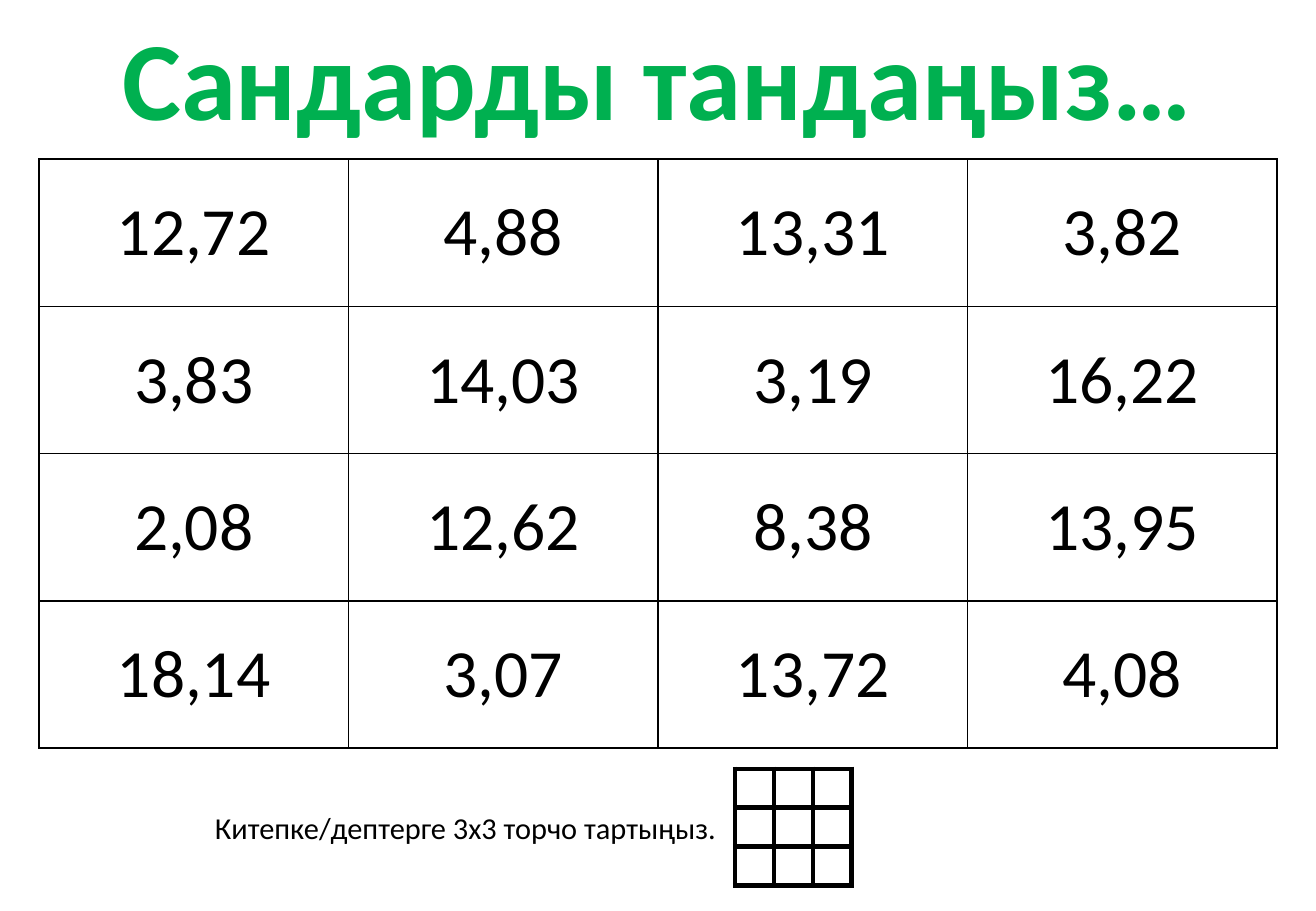
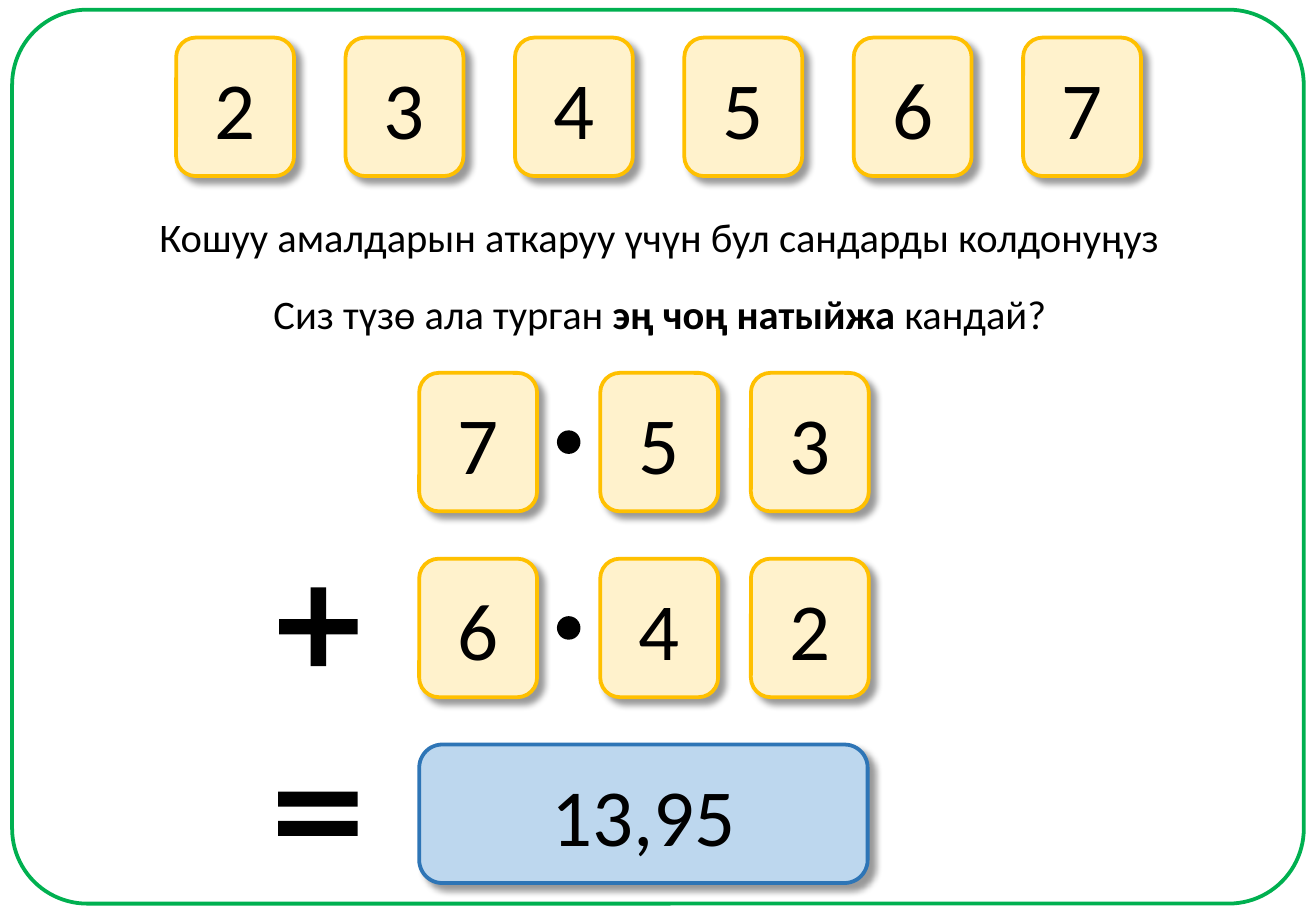
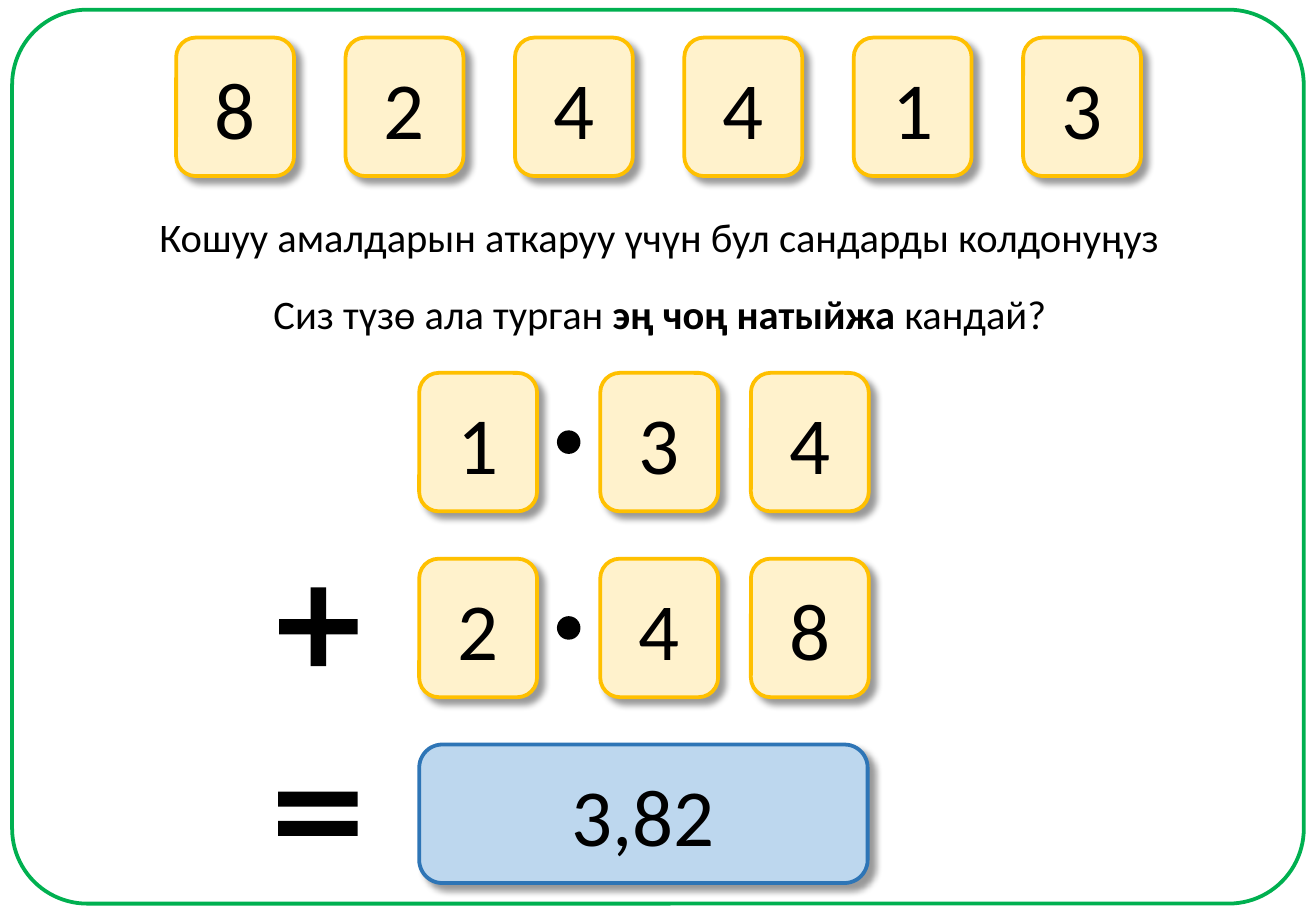
from lxml import etree
from pptx import Presentation
from pptx.dml.color import RGBColor
from pptx.enum.shapes import MSO_SHAPE as Preset
from pptx.enum.text import MSO_ANCHOR as Anchor, PP_ALIGN as Align
from pptx.oxml import parse_xml
from pptx.oxml.ns import nsdecls
from pptx.util import Emu, Pt

EMU_PER_PX = 9144  # 100 px to the inch
PAGE_W, PAGE_H = 1083, 750
FONT = "Calibri"
COLORS = {
    "black": "000000", "white": "FFFFFF", "green": "00B050",
    "card": "FFF2CC", "card_line": "FFC000",
    "answer": "BDD7EE", "answer_line": "2E75B6",
}
CARD_W, CARD_H = 97, 114

# Text formats
TITLE = {"size": Pt(66), "bold": True}
CELL = {"size": Pt(40)}
NOTE = {"size": Pt(18)}
PROMPT = {"size": Pt(24)}
STRONG = {"size": Pt(24), "bold": True}
DIGIT = {"size": Pt(48)}

NUMBERS = [
    ["12,72", "4,88", "13,31", "3,82"],
    ["3,83", "14,03", "3,19", "16,22"],
    ["2,08", "12,62", "8,38", "13,95"],
    ["18,14", "3,07", "13,72", "4,08"],
]
PROBLEMS = [
    {"digits": "234567", "addends": ["753", "642"], "answer": "13,95"},
    {"digits": "824413", "addends": ["134", "248"], "answer": "3,82"},
]


def px(*lengths):
    return [Emu(round(length * EMU_PER_PX)) for length in lengths]


def rgb(name):
    return RGBColor.from_string(COLORS[name])


def write(frame, spans, color="black", align=Align.CENTER):
    """Fill the first paragraph with (text, format) spans."""
    para = frame.paragraphs[0]
    para.alignment = align
    for text, style in spans:
        span = para.add_run()
        span.text = text
        span.font.name = FONT
        span.font.color.rgb = rgb(color)
        for key, value in style.items():
            setattr(span.font, key, value)


def add_line(page, box, spans, align=Align.CENTER):
    frame = page.shapes.add_textbox(*px(*box)).text_frame
    frame.word_wrap = False
    write(frame, spans, align=align)


def add_shadow(shape):
    shape._element.spPr.append(parse_xml(
        f'<a:effectLst {nsdecls("a")}>'
        f'<a:outerShdw blurRad="{Pt(4)}" dist="{Pt(5)}" dir="2700000" algn="tl" rotWithShape="0">'
        f'<a:srgbClr val="{COLORS["black"]}"><a:alpha val="40000"/></a:srgbClr>'
        '</a:outerShdw></a:effectLst>'))


def add_preset(shapes, preset, box, fill=None, line=None, weight=2.25, adjust=()):
    shape = shapes.add_shape(preset, *px(*box))
    shape.shadow.inherit = False
    for index, value in enumerate(adjust):
        shape.adjustments[index] = value
    if fill:
        shape.fill.solid()
        shape.fill.fore_color.rgb = rgb(fill)
    else:
        shape.fill.background()
    if line:
        shape.line.color.rgb = rgb(line)
        shape.line.width = Pt(weight)
    else:
        shape.line.fill.background()
    return shape


def add_card(shapes, box, text, fill="card", line="card_line"):
    card = add_preset(shapes, Preset.ROUNDED_RECTANGLE, box, fill, line)
    for effects in card._element.spPr.findall("{*}effectLst"):
        card._element.spPr.remove(effects)
    add_shadow(card)
    card.text_frame.vertical_anchor = Anchor.MIDDLE
    write(card.text_frame, [(text, DIGIT)])


def add_grid(page, box, rows, border):
    """Table of equal white cells with black borders all round."""
    table = page.shapes.add_table(len(rows), len(rows[0]), *px(*box)).table
    table.first_row = table.horz_banding = False
    for r, row in enumerate(rows):
        for c, text in enumerate(row):
            cell = table.cell(r, c)
            for side in ("left", "right", "top", "bottom"):
                setattr(cell, f"margin_{side}", 0)
            cell.vertical_anchor = Anchor.MIDDLE
            props = cell._tc.get_or_add_tcPr()
            for side in "LRTB":
                edge = etree.SubElement(props, props.tag.replace("tcPr", f"ln{side}"), w=str(Pt(border)))
                edge.append(parse_xml(
                    f'<a:solidFill {nsdecls("a")}><a:srgbClr val="{COLORS["black"]}"/></a:solidFill>'))
            cell.fill.solid()
            cell.fill.fore_color.rgb = rgb("white")
            if text:
                write(cell.text_frame, [(text, CELL)])


def add_title(page, box, text):
    title = page.shapes.title
    title.left, title.top, title.width, title.height = px(*box)
    title.text_frame.word_wrap = False
    title.text_frame.vertical_anchor = Anchor.MIDDLE
    write(title.text_frame, [(text, TITLE)], "green")


def add_digit_row(page, box, digits):
    """Equally spaced digit cards, grouped."""
    left, top, width, height = box
    step = (width - CARD_W) / (len(digits) - 1)
    group = page.shapes.add_group_shape()
    for index, digit in enumerate(digits):
        add_card(group.shapes, (left + index * step, top, CARD_W, height), digit)


def add_sum(page, box, addends, answer):
    """Two decimals in cards above their total, with the signs on the left."""
    left, top, width, height = box
    shapes = page.shapes
    step = (height - CARD_H) / len(addends)
    first = left + 128
    for index, digits in enumerate(addends):
        y = top + index * step
        for offset, digit in zip((0, 149, 273), digits):
            add_card(shapes, (first + offset, y, CARD_W, CARD_H), digit)
        add_preset(shapes, Preset.OVAL, (first + 114, y + 48, 18, 18), "black", "black", 1)
    total_top = top + height - CARD_H
    add_card(shapes, (first, total_top, left + width - first, CARD_H), answer,
             "answer", "answer_line")
    add_preset(shapes, Preset.MATH_PLUS, (left + 1, total_top - step + 12, 88, 88),
               "black", adjust=[0.144])
    add_preset(shapes, Preset.MATH_EQUAL, (left, total_top + 7, 89, 100),
               "black", adjust=[0.123, 0.118])


def numbers_page(deck):
    page = deck.slides.add_slide(deck.slide_layouts.get_by_name("Title Only"))
    add_title(page, (79, 2, 924, 121), "Сандарды тандаңыз…")
    add_grid(page, (32, 131, 1019, 485), NUMBERS, 1)
    add_grid(page, (605, 633, 96, 96), [[""] * 3] * 3, 3)
    add_line(page, (167, 661, 438, 40),
             [("Китепке/дептерге 3х3 торчо тартыңыз.", NOTE)], Align.LEFT)


def problem_page(deck, digits, addends, answer):
    page = deck.slides.add_slide(deck.slide_layouts.get_by_name("Blank"))
    add_preset(page.shapes, Preset.ROUNDED_RECTANGLE, (10, 8, 1063, 736),
               line="green", adjust=[0.084])
    add_digit_row(page, (145, 31, 794, CARD_H), digits)
    add_line(page, (117, 170, 851, 50),
             [("Кошуу амалдарын аткаруу үчүн бул сандарды колдонуңуз", PROMPT)])
    add_line(page, (212, 233, 662, 50),
             [("Сиз түзө ала турган ", PROMPT), ("эң чоң натыйжа ", STRONG), ("кандай?", PROMPT)])
    add_sum(page, (217, 307, 497, 420), addends, answer)


def main():
    deck = Presentation()
    deck.slide_width, deck.slide_height = px(PAGE_W, PAGE_H)
    numbers_page(deck)
    for problem in PROBLEMS:
        problem_page(deck, **problem)
    deck.save("out.pptx")


if __name__ == "__main__":
    main()
